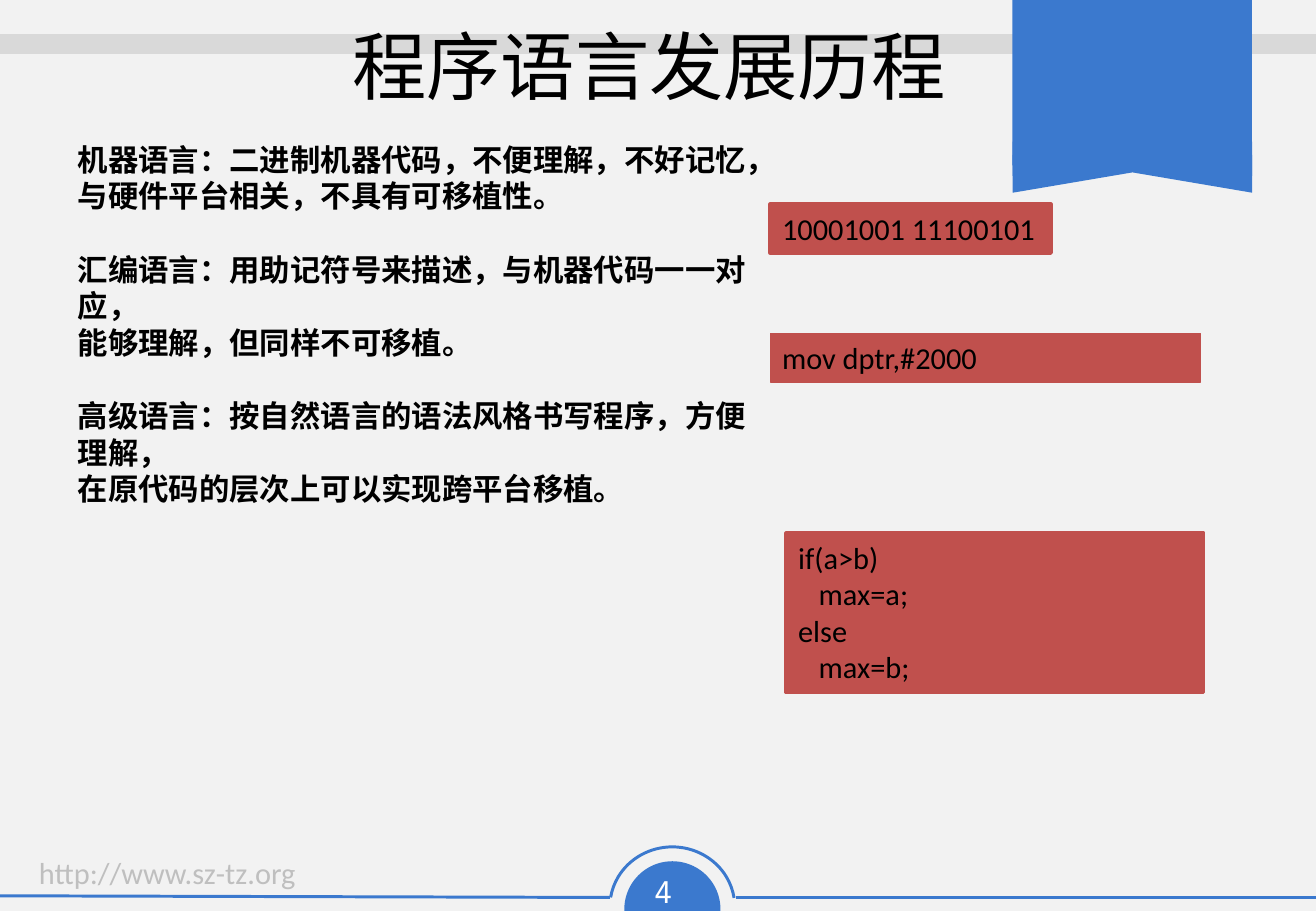
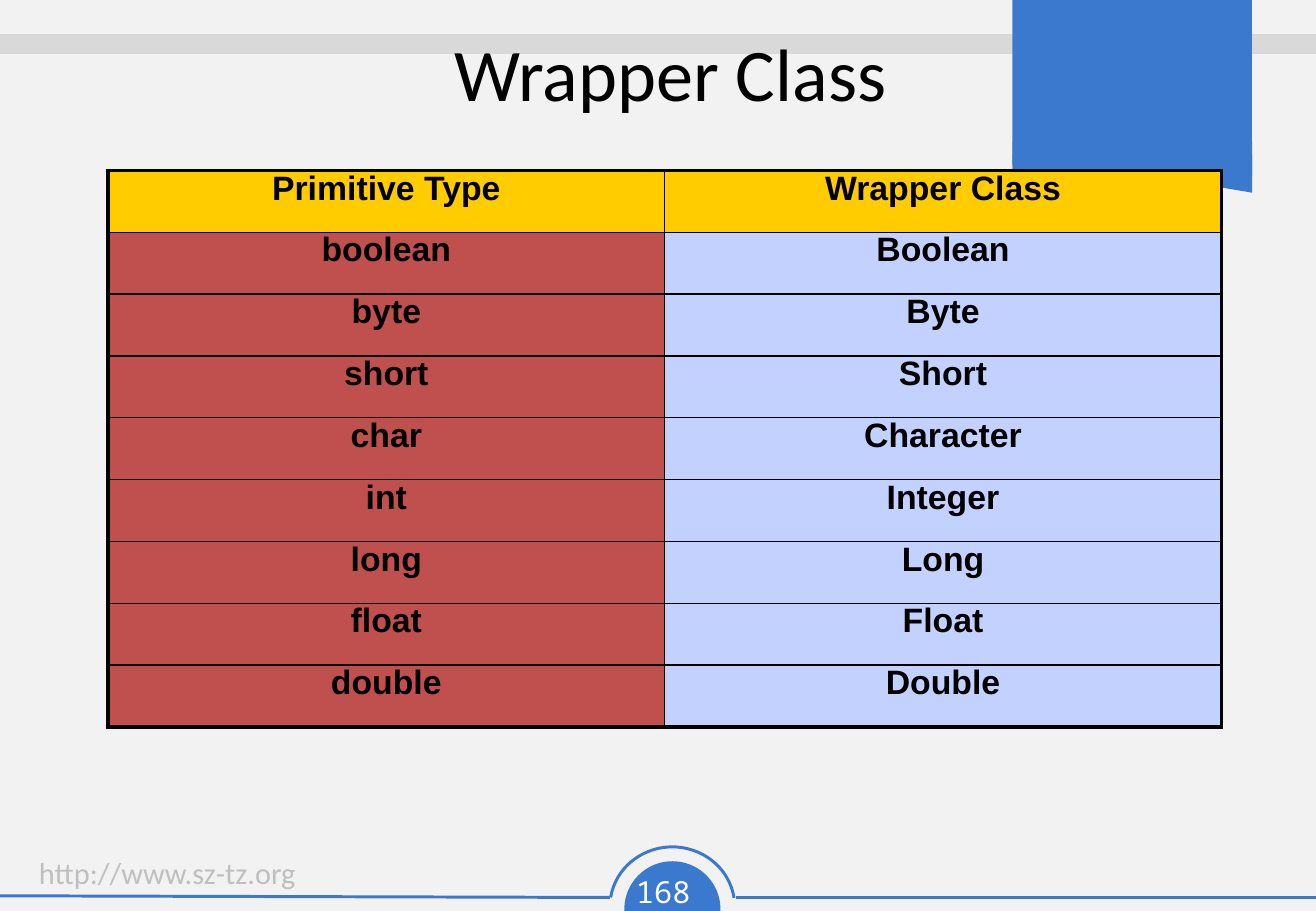
from dataclasses import dataclass

from lxml import etree
from pptx import Presentation
from pptx.dml.color import RGBColor
from pptx.enum.shapes import MSO_CONNECTOR, MSO_SHAPE, PP_PLACEHOLDER
from pptx.enum.text import MSO_ANCHOR, MSO_AUTO_SIZE, PP_ALIGN
from pptx.oxml.ns import qn
from pptx.util import Pt

STRAIGHT = MSO_CONNECTOR.STRAIGHT
RECT, ARC, CHORD = MSO_SHAPE.RECTANGLE, MSO_SHAPE.ARC, MSO_SHAPE.CHORD
CHEVRON, PLATE = MSO_SHAPE.CHEVRON, MSO_SHAPE.PENTAGON
TITLE = PP_PLACEHOLDER.TITLE
TOP = MSO_ANCHOR.TOP
GROW, FIXED = MSO_AUTO_SIZE.SHAPE_TO_FIT_TEXT, MSO_AUTO_SIZE.NONE
LEFT, CENTER = PP_ALIGN.LEFT, PP_ALIGN.CENTER

BLACK = RGBColor(0x00, 0x00, 0x00)
WHITE = RGBColor(0xFF, 0xFF, 0xFF)
PAPER = RGBColor(0xF2, 0xF2, 0xF2)
BAND = RGBColor(0xD9, 0xD9, 0xD9)
GREY = RGBColor(0xBF, 0xBF, 0xBF)
BLUE = RGBColor(0x3B, 0x79, 0xCE)
RED = RGBColor(0xC0, 0x50, 0x4D)
GOLD = RGBColor(0xFF, 0xCC, 0x00)
PALE = RGBColor(0xC3, 0xD1, 0xFF)

Box = tuple[float, float, float, float]
Blocks = tuple[tuple[str, ...], ...]


@dataclass(frozen=True)
class Face:
    size: float
    color: RGBColor = BLACK
    name: str = "Calibri"
    bold: bool = False


@dataclass(frozen=True)
class Rule:
    start: tuple[float, float]
    end: tuple[float, float]
    color: RGBColor
    width: float


@dataclass(frozen=True)
class Form:
    kind: int
    box: Box
    turn: float = 0
    bends: tuple[float, ...] = ()
    fill: RGBColor | None = BLUE
    edge: RGBColor | None = None
    width: float = 0


@dataclass(frozen=True)
class Code:
    box: Box
    lines: tuple[str, ...]
    width: float = 2
    wrap: bool = True


HEAD = Face(44)
PLAIN = Face(18)
STRONG = Face(18, bold=True)
LINK = Face(18, GREY)
COUNT = Face(18, WHITE, "Noto Sans Mono")
CELL = Face(20, name="Arial", bold=True)

RULES = (
    Rule((436, 532), (780, 532), BLUE, 1.77),
    Rule((0, 531), (361.5, 532), BLUE, 1.77),
    Rule((0, 26), (780, 26), BAND, 12),
)
RIBBON = (
    Form(CHEVRON, (654, 26, 34.5, 142), 270, (0.35,)),
    Form(CHEVRON, (651, 13, 40.5, 142), 270),
    Form(PLATE, (622, -22, 98, 142), 270, (0,)),
)
BADGE = (
    Form(ARC, (361.5, 502, 74, 71), 0, (113.17, 211.1), None, BLUE, 1.77),
    Form(CHORD, (370, 510.5, 57, 57), 112.4, (35.77, 153.29)),
)
STAGES = (
    ("机器语言：二进制机器代码，不便理解，不好记忆，", "与硬件平台相关，不具有可移植性。"),
    ("汇编语言：用助记符号来描述，与机器代码一一对应，", "能够理解，但同样不可移植。"),
    ("高级语言：按自然语言的语法风格书写程序，方便理解，", "在原代码的层次上可以实现跨平台移植。"),
)
CODES = (
    Code((456.5, 121, 166.5, 29), ("10001001 11100101",), wrap=False),
    Code((456.5, 197.5, 255, 29), ("mov dptr,#2000",), 0.75),
    Code((466, 316, 247.5, 94.5), ("if(a>b)", "   max=a;", "else", "   max=b;")),
)
TYPES = (
    ("Primitive Type", "Wrapper Class"),
    ("boolean", "Boolean"),
    ("byte", "Byte"),
    ("short", "Short"),
    ("char", "Character"),
    ("int", "Integer"),
    ("long", "Long"),
    ("float", "Float"),
    ("double", "Double"),
)


def style(item, values: dict) -> None:
    for key, value in values.items():
        setattr(item, key, value)


def points(box: Box) -> list[Pt]:
    return [Pt(size) for size in box]


def write(frame, blocks: Blocks, face: Face, align=LEFT, gap: float = 0) -> None:
    first = True
    for block in blocks:
        for row, line in enumerate(block):
            para = frame.paragraphs[0] if first else frame.add_paragraph()
            para.text = line
            para.alignment = align
            if row == 0 and not first:
                para.space_before = Pt(gap)
            style(para.font, {"size": Pt(face.size), "name": face.name, "bold": face.bold})
            para.font.color.rgb = face.color
            first = False


def label(shapes, box: Box, blocks: Blocks, face: Face, align=LEFT, wrap=True, gap: float = 0) -> None:
    frame = shapes.add_textbox(*points(box)).text_frame
    style(frame, {"word_wrap": wrap, "auto_size": GROW})
    write(frame, blocks, face, align, gap)


def stroke(shapes, rule: Rule) -> None:
    line = shapes.add_connector(STRAIGHT, *points(rule.start + rule.end))
    line.line.width = Pt(rule.width)
    line.line.color.rgb = rule.color
    etree.SubElement(line.element.spPr, qn("a:effectLst"))


def draw(shapes, form: Form):
    shape = shapes.add_shape(form.kind, *points(form.box))
    shape.shadow.inherit = False
    shape.rotation = form.turn
    for spot, bend in enumerate(form.bends):
        shape.adjustments[spot] = bend
    if form.fill is None:
        shape.fill.background()
    else:
        shape.fill.solid()
        shape.fill.fore_color.rgb = form.fill
    if form.edge is None:
        shape.line.fill.background()
    else:
        shape.line.color.rgb = form.edge
        shape.line.width = Pt(form.width)
    return shape


def frame_all(slide, layout) -> None:
    for holder in list(layout.placeholders):
        if holder.placeholder_format.type != TITLE:
            layout.shapes.element.remove(holder.element)
    layout.background.fill.solid()
    layout.background.fill.fore_color.rgb = PAPER
    for rule in RULES:
        stroke(slide.shapes, rule)
    group = slide.shapes.add_group_shape()
    for form in RIBBON:
        draw(group.shapes, form)
    for form in BADGE:
        draw(slide.shapes, form)
    label(slide.shapes, (16, 502.5, 168, 29), (("http://www.sz-tz.org",),), LINK, wrap=False)
    for shape in list(slide.shapes):
        if not shape.is_placeholder:
            layout.shapes.element.append(shape.element)


def head(slide, text: str, left: float, top: float, count: int) -> None:
    title = slide.shapes.title
    style(title, dict(zip(("left", "top", "width", "height"), points((left, top, 675, 47.5)))))
    style(title.text_frame, {
        "vertical_anchor": TOP, "auto_size": FIXED, "word_wrap": True, "margin_top": Pt(6),
    })
    write(title.text_frame, ((text,),), HEAD, CENTER)
    label(slide.shapes, (367, 514, 63, 29), ((f"{count} ",),), COUNT, CENTER)


def show_code(shapes, code: Code) -> None:
    shape = draw(shapes, Form(RECT, code.box, fill=RED, edge=RED, width=code.width))
    style(shape.text_frame, {"word_wrap": code.wrap, "auto_size": GROW, "vertical_anchor": TOP})
    write(shape.text_frame, (code.lines,), PLAIN)


def border(cell, sides: dict[str, float]) -> None:
    props = cell._tc.get_or_add_tcPr()
    for side, width in sides.items():
        line = etree.SubElement(props, qn(f"a:ln{side}"), w=str(Pt(width)))
        fill = etree.SubElement(line, qn("a:solidFill"))
        etree.SubElement(fill, qn("a:srgbClr"), val=str(BLACK))


def show_types(shapes) -> None:
    rows, cols = len(TYPES), len(TYPES[0])
    table = shapes.add_table(rows, cols, *points((64, 101, 660, 330))).table
    style(table, {"first_row": False, "horz_banding": False})
    thick, thin = 2.25, 1
    for row, names in enumerate(TYPES):
        for col, name in enumerate(names):
            cell = table.cell(row, col)
            border(cell, {
                "L": thick if col == 0 else thin,
                "R": thick if col == cols - 1 else thin,
                "T": thick if row == 0 else thin,
                "B": thick if row == rows - 1 else thin,
            })
            cell.fill.solid()
            cell.fill.fore_color.rgb = GOLD if row == 0 else (RED, PALE)[col]
            style(cell, {"margin_left": Pt(8), "margin_right": Pt(8)})
            write(cell.text_frame, ((name,),), CELL, CENTER)
            style(cell.text_frame.paragraphs[0], {"line_spacing": Pt(18.2), "space_after": Pt(4)})


def main() -> None:
    deck = Presentation()
    style(deck, {"slide_width": Pt(780), "slide_height": Pt(540)})
    layout = deck.slide_layouts[5]

    slide = deck.slides.add_slide(layout)
    frame_all(slide, layout)
    head(slide, "程序语言发展历程", 47.5, 6, 4)
    label(slide.shapes, (39, 80, 418, 247), STAGES, STRONG, gap=22)
    for code in CODES:
        show_code(slide.shapes, code)

    slide = deck.slides.add_slide(layout)
    head(slide, "Wrapper Class", 60, 10, 168)
    show_types(slide.shapes)

    deck.save("out.pptx")


if __name__ == "__main__":
    main()
